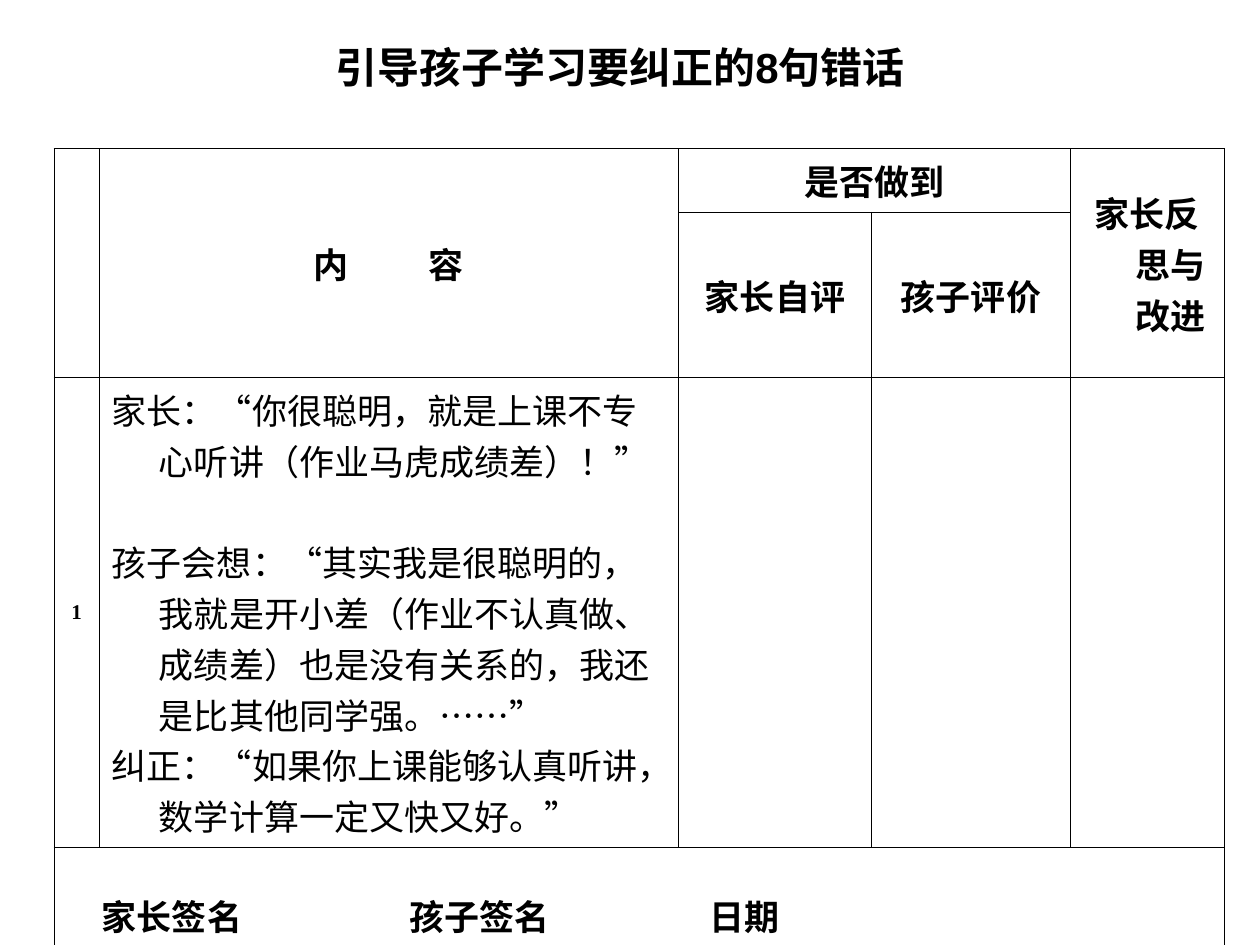
from lxml.etree import SubElement
from pptx import Presentation
from pptx.dml.color import RGBColor
from pptx.enum.text import MSO_ANCHOR, MSO_AUTO_SIZE, PP_ALIGN
from pptx.oxml.ns import qn
from pptx.util import Cm, Pt

BLACK = RGBColor(0, 0, 0)
WHITE = RGBColor(255, 255, 255)
HANGING = Cm(0.95)
BORDER_WIDTH = Pt(0.45)
COLUMN_WIDTHS = [0.91, 11.68, 3.89, 4.01, 3.1]
ROW_HEIGHTS = [1.12, 2.79, 8.48, 2.74]
MERGES = [((0, 0), (1, 0)), ((0, 1), (1, 1)), ((0, 2), (0, 3)),
          ((0, 4), (1, 4)), ((3, 0), (3, 4))]
HEADINGS = {(0, 2): "是否做到", (0, 4): "家长反思与改进",
            (1, 2): "家长自评", (1, 3): "孩子评价"}
SAYINGS = [
    "家长：“你很聪明，就是上课不专心听讲（作业马虎成绩差）！”",
    "孩子会想：“其实我是很聪明的，我就是开小差（作业不认真做、成绩差）"
    "也是没有关系的，我还是比其他同学强。……”",
    "纠正：“如果你上课能够认真听讲，数学计算一定又快又好。”",
]
SIGNATURES = ["家长签名", "孩子签名", "日期"]
SIGNATURE_TABS = [0.71, 6.91, 12.95]


def add_run(paragraph, text, size=20, bold=True, name="Times New Roman"):
    run = paragraph.add_run()
    run.text = text
    run.font.size = Pt(size)
    run.font.bold = bold
    run.font.name = name
    run.font.color.rgb = BLACK
    return run


def set_hanging(paragraph):
    properties = paragraph._p.get_or_add_pPr()
    properties.set("marL", str(HANGING))
    properties.set("indent", str(-HANGING))


def set_tabs(paragraph, positions):
    tabs = SubElement(paragraph._p.get_or_add_pPr(), qn("a:tabLst"))
    for position in positions:
        SubElement(tabs, qn("a:tab"), pos=str(Cm(position)), algn="l")


def format_cell(cell):
    properties = cell._tc.get_or_add_tcPr()
    for side in ("lnL", "lnR", "lnT", "lnB"):
        line = SubElement(properties, qn(f"a:{side}"), w=str(BORDER_WIDTH))
        fill = SubElement(line, qn("a:solidFill"))
        SubElement(fill, qn("a:srgbClr"), val=str(BLACK))
    cell.fill.background()
    cell.vertical_anchor = MSO_ANCHOR.MIDDLE


def centred_paragraph(cell):
    paragraph = cell.text_frame.paragraphs[0]
    set_hanging(paragraph)
    paragraph.alignment = PP_ALIGN.CENTER
    return paragraph


def add_title(slide, left, top, width, height):
    title = slide.shapes.title
    title.left, title.top, title.width, title.height = left, top, width, height
    frame = title.text_frame
    frame.word_wrap = True
    frame.auto_size = MSO_AUTO_SIZE.NONE
    frame.vertical_anchor = MSO_ANCHOR.TOP
    paragraph = frame.paragraphs[0]
    paragraph.alignment = PP_ALIGN.CENTER
    paragraph.space_before = Pt(0)
    add_run(paragraph, "引导孩子学习要纠正的8句错话", 24, name="Arial")


def fill_headings(table):
    paragraph = centred_paragraph(table.cell(0, 1))
    # Letter spacing holds the two characters of the heading apart
    first = add_run(paragraph, "内")
    first.font._element.set("spc", "4570")
    add_run(paragraph, "容")
    for position, text in HEADINGS.items():
        add_run(centred_paragraph(table.cell(*position)), text)


def fill_sayings(table):
    add_run(centred_paragraph(table.cell(2, 0)), "1", 12)
    frame = table.cell(2, 1).text_frame
    for index, text in enumerate(SAYINGS):
        paragraph = frame.add_paragraph() if index else frame.paragraphs[0]
        set_hanging(paragraph)
        add_run(paragraph, text, bold=False)
    frame.paragraphs[0].space_after = Pt(29)


def fill_signatures(table):
    paragraph = table.cell(3, 0).text_frame.paragraphs[0]
    set_tabs(paragraph, SIGNATURE_TABS)
    for text in SIGNATURES:
        add_run(paragraph, "\t" + text)


def add_checklist(slide, left, top, width, height):
    frame = slide.shapes.add_table(len(ROW_HEIGHTS), len(COLUMN_WIDTHS),
                                   left, top, width, height)
    table = frame.table
    table.first_row = False
    table.horz_banding = False
    for column, size in zip(table.columns, COLUMN_WIDTHS):
        column.width = Cm(size)
    for row, size in zip(table.rows, ROW_HEIGHTS):
        row.height = Cm(size)
    for cell in table.iter_cells():
        format_cell(cell)
    for start, end in MERGES:
        table.cell(*start).merge(table.cell(*end))
    fill_headings(table)
    fill_sayings(table)
    fill_signatures(table)


def main():
    presentation = Presentation()
    presentation.slide_width = Cm(25.4)
    presentation.slide_height = Cm(19.05)
    slide = presentation.slides.add_slide(presentation.slide_layouts[5])
    slide.background.fill.solid()
    slide.background.fill.fore_color.rgb = WHITE
    # Title above, checklist below
    add_title(slide, Cm(0.69), Cm(0.71), Cm(23.62), Cm(1.5))
    add_checklist(slide, Cm(1.09), Cm(3), Cm(sum(COLUMN_WIDTHS)),
                  Cm(sum(ROW_HEIGHTS)))
    presentation.save("out.pptx")


if __name__ == "__main__":
    main()
